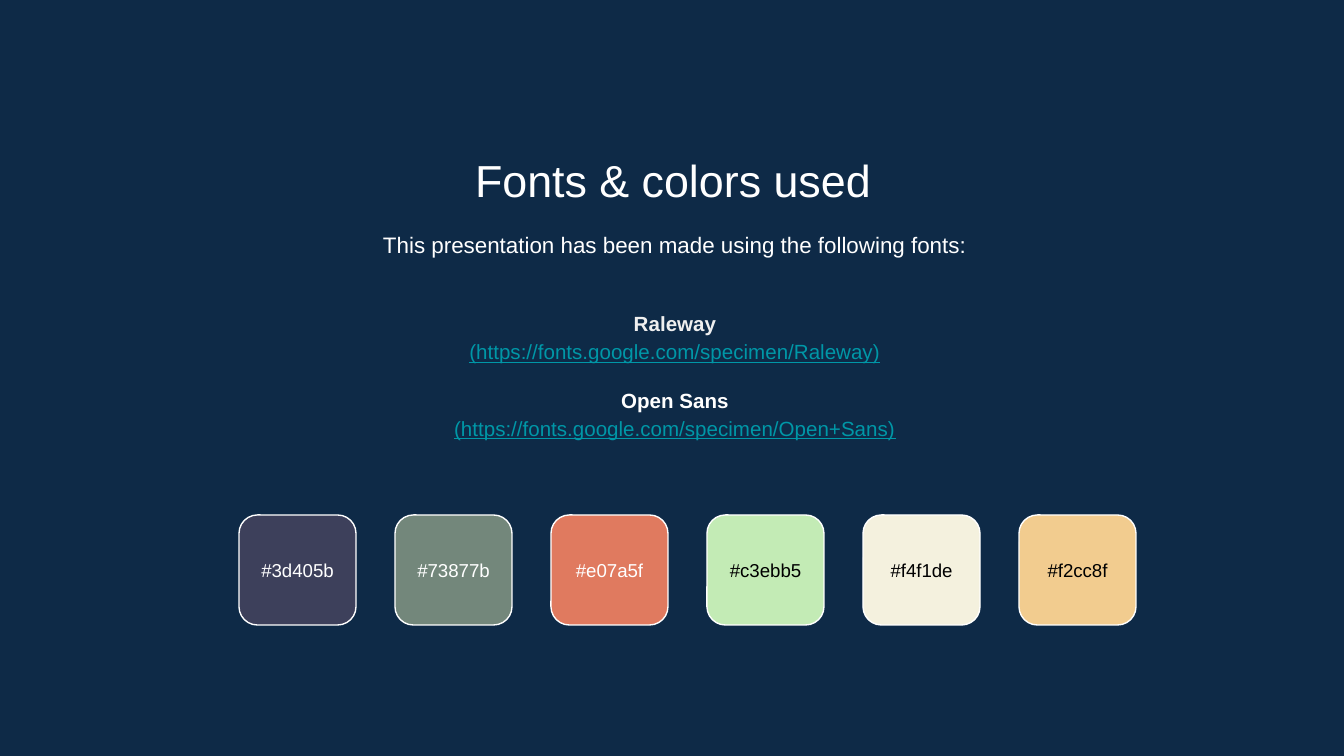
from pptx import Presentation
from pptx.dml.color import RGBColor
from pptx.enum.shapes import MSO_SHAPE
from pptx.enum.text import MSO_ANCHOR, MSO_AUTO_SIZE, PP_ALIGN
from pptx.oxml.ns import qn
from pptx.util import Emu, Pt
from lxml.etree import SubElement

NAVY = RGBColor(0x0E, 0x2A, 0x47)
WHITE = RGBColor(0xFF, 0xFF, 0xFF)
BLACK = RGBColor(0x00, 0x00, 0x00)
PALE = RGBColor(0xEF, 0xEF, 0xEF)
TEAL = RGBColor(0x00, 0x97, 0xA7)

# Content
TITLE = "Fonts & colors used"
INTRO = "This presentation has been made using the following fonts:"
FONTS = [  # name, link, name colour
    ("Raleway", "(https://fonts.google.com/specimen/Raleway)", PALE),
    ("Open Sans", "(https://fonts.google.com/specimen/Open+Sans)", WHITE),
]
SWATCHES = [  # colour code, label colour
    ("#3d405b", WHITE), ("#73877b", WHITE), ("#e07a5f", WHITE),
    ("#c3ebb5", BLACK), ("#f4f1de", BLACK), ("#f2cc8f", BLACK),
]

# Layout in px
SCALE = 914400 / 134.4
WIDE, HIGH, PAD = 1344, 756, 13
TITLE_BOX = (155, 140, 1036, 71)
INTRO_BOX = (157, 214, 1036, 65)
FONT_BOX = (157, 282, 1036, 184)
LEFT, TOP, STEP, TILE_W, TILE_H, LABEL_H = 239, 515, 156, 117, 110, 64


def px(num):
    return Emu(round(num * SCALE))


def assign(obj, vals):
    for key, val in vals.items():
        setattr(obj, key, val)


def write(shape, lines, anchor=MSO_ANCHOR.TOP, space=1.0):
    """Fill a shape with centred lines of (text, font values, space before)."""
    frame = shape.text_frame
    sides = ("left", "top", "right", "bottom")
    assign(frame, {f"margin_{side}": px(PAD) for side in sides})
    assign(frame, {"word_wrap": True, "auto_size": MSO_AUTO_SIZE.NONE,
                   "vertical_anchor": anchor})
    for num, (text, font, gap) in enumerate(lines):
        para = frame.add_paragraph() if num else frame.paragraphs[0]
        props = para._p.get_or_add_pPr()
        props.set("marL", "0")
        props.set("indent", "0")
        SubElement(props, qn("a:buNone"))
        assign(para, {"alignment": PP_ALIGN.CENTER, "line_spacing": space,
                      "space_before": Pt(gap)})
        run = para.add_run()
        run.text = text
        color = font["color"]
        rest = {key: val for key, val in font.items() if key != "color"}
        assign(run.font, {"name": "Arial", **rest})
        run.font.color.rgb = color


def place(shape, box):
    assign(shape, dict(zip(("left", "top", "width", "height"), map(px, box))))


deck = Presentation()
assign(deck, {"slide_width": px(WIDE), "slide_height": px(HIGH)})
slide = deck.slides.add_slide(deck.slide_layouts[3])
slide.background.fill.solid()
slide.background.fill.fore_color.rgb = NAVY

# Title, introduction and font list
title, intro, fonts = slide.placeholders
for holder, box in ((title, TITLE_BOX), (intro, INTRO_BOX), (fonts, FONT_BOX)):
    place(holder, box)
write(title, [(TITLE, {"size": Pt(24), "color": WHITE}, 0)])
write(intro, [(INTRO, {"size": Pt(12), "color": WHITE}, 0)], space=1.15)
lines = []
for name, link, color in FONTS:
    gap = 10.6 if lines else 0
    lines.append((name, {"size": Pt(11), "bold": True, "color": color}, gap))
    lines.append((link, {"size": Pt(11), "underline": True, "color": TEAL}, 0))
write(fonts, lines, MSO_ANCHOR.MIDDLE, 1.15)

# Colour swatches with their codes
for num, (code, ink) in enumerate(SWATCHES):
    box = (LEFT + num * STEP, TOP, TILE_W, TILE_H)
    tile = slide.shapes.add_shape(MSO_SHAPE.ROUNDED_RECTANGLE, *map(px, box))
    tile.shadow.inherit = False
    tile.fill.solid()
    tile.fill.fore_color.rgb = RGBColor.from_string(code[1:].upper())
    tile.line.color.rgb = WHITE
    tile.line.width = Pt(0.75)

    mid = TOP + (TILE_H - LABEL_H) / 2
    label = slide.shapes.add_textbox(*map(px, (box[0], mid, TILE_W, LABEL_H)))
    write(label, [(code, {"size": Pt(10), "color": ink}, 0)], MSO_ANCHOR.MIDDLE)

deck.save("out.pptx")
